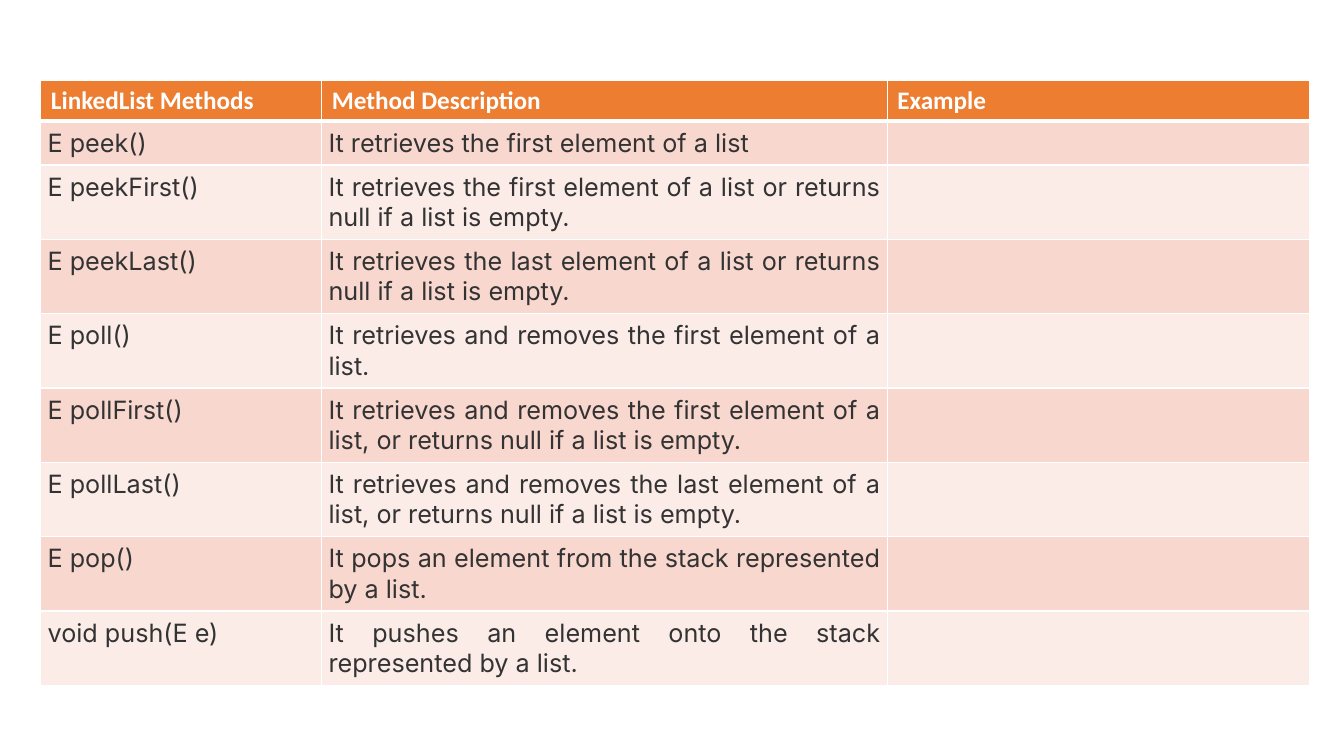
import pptx
import pptx.dml.color
import pptx.enum.text
import pptx.oxml
import pptx.oxml.ns
import pptx.util
from pptx.util import Cm

RGBColor = pptx.dml.color.RGBColor
WHITE = RGBColor(0xFF, 0xFF, 0xFF)
ORANGE = RGBColor(0xED, 0x7D, 0x31)
DARK_BAND = RGBColor(0xF8, 0xD7, 0xCE)
LIGHT_BAND = RGBColor(0xFC, 0xEC, 0xE8)
INK = RGBColor(0x33, 0x33, 0x33)

HEADINGS = ("LinkedList Methods", "Method Description", "Example")
METHODS = (
    ("E peek()", "It retrieves the first element of a list"),
    ("E peekFirst()", "It retrieves the first element of a list or returns null if a list is empty."),
    ("E peekLast()", "It retrieves the last element of a list or returns null if a list is empty."),
    ("E poll()", "It retrieves and removes the first element of a list."),
    ("E pollFirst()", "It retrieves and removes the first element of a list, or returns null if a list is empty."),
    ("E pollLast()", "It retrieves and removes the last element of a list, or returns null if a list is empty."),
    ("E pop()", "It pops an element from the stack represented by a list."),
    ("void push(E e)", "It pushes an element onto the stack represented by a list."),
)
COLUMN_WIDTHS = (Cm(7.08), Cm(14.25), Cm(10.65))
ROW_HEIGHT = Cm(1.03)
CELL_INSET = Cm(0.17)
THIN, THICK = pptx.util.Pt(1), pptx.util.Pt(3)


def paint_cell(cell, colour, top=THIN, bottom=THIN):
    """Give a cell white borders and a solid fill."""
    properties = cell._tc.get_or_add_tcPr()
    for side, width in (("L", THIN), ("R", THIN), ("T", top), ("B", bottom)):
        properties.append(pptx.oxml.parse_xml(
            f'<a:ln{side} {pptx.oxml.ns.nsdecls("a")} w="{width}">'
            f'<a:solidFill><a:srgbClr val="{WHITE}"/></a:solidFill></a:ln{side}>'))
    cell.fill.solid()
    cell.fill.fore_color.rgb = colour


def write_cell(cell, words, font_name, colour, bold=False):
    cell.text = words
    paragraph = cell.text_frame.paragraphs[0]
    paragraph.font.name = font_name
    paragraph.font.size = pptx.util.Pt(18)
    paragraph.font.bold = bold
    paragraph.font.color.rgb = colour
    return paragraph


def fill_header(table):
    for cell, heading in zip(table.rows[0].cells, HEADINGS):
        paint_cell(cell, ORANGE, bottom=THICK)
        write_cell(cell, heading, "Calibri", WHITE, bold=True)


def fill_method_row(table, number, method):
    band = DARK_BAND if number % 2 else LIGHT_BAND
    cells = list(table.rows[number].cells)
    for cell in cells:
        paint_cell(cell, band, top=THICK if number == 1 else THIN)
    # The example column stays empty
    for cell, words in zip(cells, method):
        cell.margin_left = cell.margin_right = CELL_INSET
        cell.margin_top = cell.margin_bottom = CELL_INSET
        paragraph = write_cell(cell, words, "Inter", INK)
        paragraph.alignment = pptx.enum.text.PP_ALIGN.JUSTIFY


def add_methods_table(slide):
    row_count = len(METHODS) + 1
    table = slide.shapes.add_table(
        row_count, len(HEADINGS), Cm(1.03), Cm(2.02),
        sum(COLUMN_WIDTHS), ROW_HEIGHT * row_count).table
    for column, width in zip(table.columns, COLUMN_WIDTHS):
        column.width = width
    for row in table.rows:
        row.height = ROW_HEIGHT
    fill_header(table)
    for number, method in enumerate(METHODS, start=1):
        fill_method_row(table, number, method)


def main():
    presentation = pptx.Presentation()
    presentation.slide_width = Cm(33.87)
    presentation.slide_height = Cm(19.05)
    # Blank layout, as the slide has no title
    slide = presentation.slides.add_slide(presentation.slide_layouts[6])
    add_methods_table(slide)
    presentation.save("out.pptx")


main()
